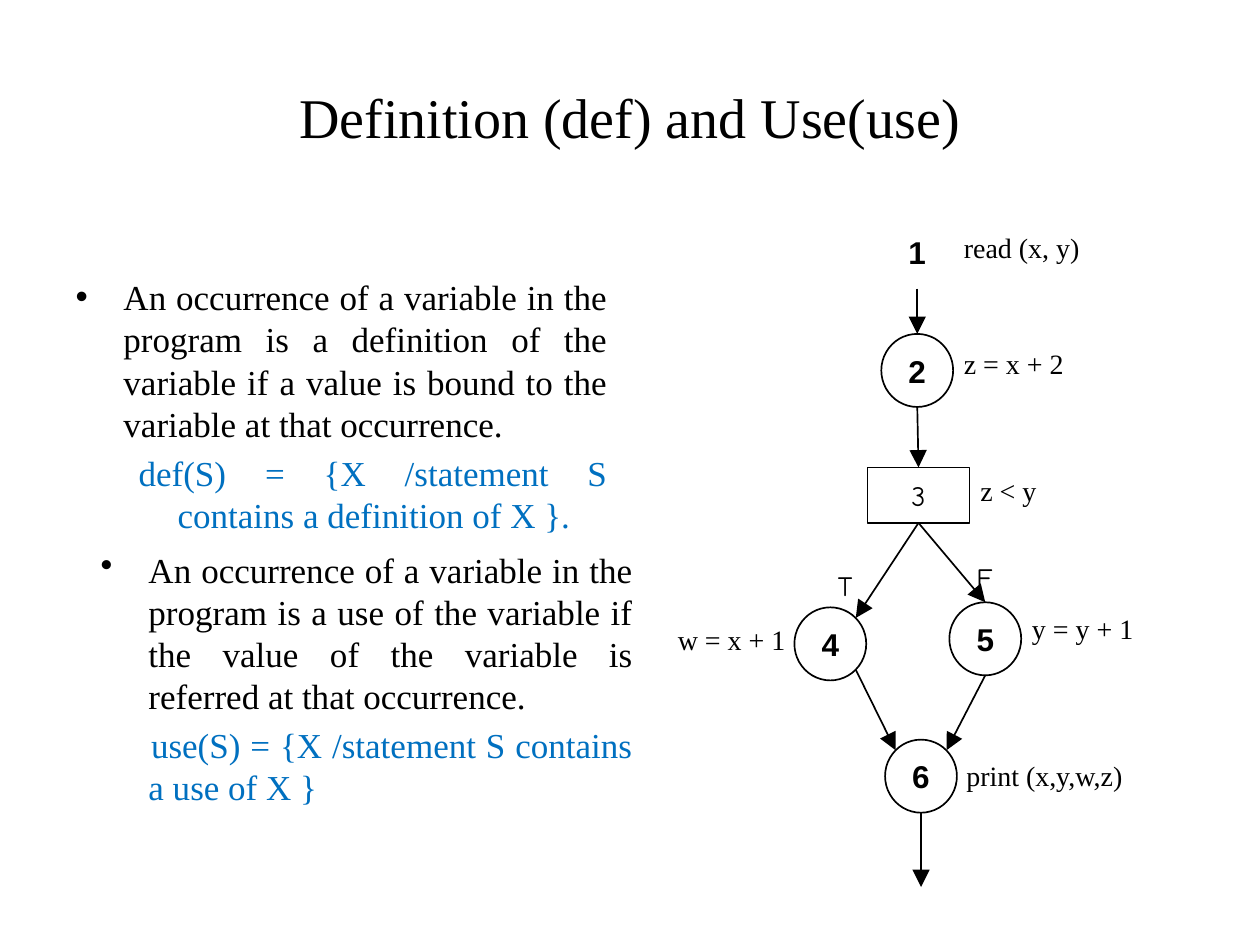
from lxml import etree
from pptx import Presentation
from pptx.dml.color import RGBColor
from pptx.enum.shapes import MSO_CONNECTOR, MSO_SHAPE
from pptx.enum.text import MSO_ANCHOR, PP_ALIGN
from pptx.oxml.ns import qn
from pptx.util import Inches, Pt

STRAIGHT = MSO_CONNECTOR.STRAIGHT
OVAL, RECTANGLE = MSO_SHAPE.OVAL, MSO_SHAPE.RECTANGLE
CENTER, JUSTIFY = PP_ALIGN.CENTER, PP_ALIGN.JUSTIFY
MIDDLE, TOP = MSO_ANCHOR.MIDDLE, MSO_ANCHOR.TOP

COLORS = {"ink": "000000", "formula": "0070C0"}
SERIF, SANS, HAND = "Times New Roman", "Arial", "Comic Neue"
LINE_WIDTH = 0.96
CIRCLE, BOX = (0.57, 0.58), (0.81, 0.44)

TITLE = "Definition (def) and Use(use)"
# text, colour, left margin, first-line indent, bullet
DEFINITION = [
    ("An occurrence of a variable in the program is a definition of the variable "
     "if a value is bound to the variable at that occurrence.", "ink", 0.38, -0.38, "•"),
    ("def(S) = {X /statement S contains a definition of X }.", "formula", 0.81, -0.31, None),
]
USE = [
    ("An occurrence of a variable in the program is a use of the variable "
     "if the value of the variable is referred at that occurrence.", "ink", 0.38, -0.38, "•"),
    ("use(S) = {X /statement S contains a use of X }", "formula", 0.38, 0.02, None),
]

# number: centre x, centre y, outline, size
NODES = {
    "1": (7.28, 2.0, None, CIRCLE),
    "2": (7.28, 2.94, OVAL, CIRCLE),
    "3": (7.29, 3.93, RECTANGLE, BOX),
    "4": (6.59, 5.11, OVAL, CIRCLE),
    "5": (7.82, 5.07, OVAL, CIRCLE),
    "6": (7.31, 6.16, OVAL, CIRCLE),
}
# start node, start side, end node, end side; sides are shares of the half size
EDGES = [
    ("1", (0, 1), "2", (0, -1)),
    ("2", (0, 1), "3", (0, -1)),
    ("3", (0, 1), "4", (0.71, -0.71)),
    ("3", (0, 1), "5", (0, -1)),
    ("4", (0.71, 0.71), "6", (-0.71, -0.71)),
    ("5", (0, 1), "6", (0.71, -0.71)),
]
EXIT_LENGTH = 0.59
# text, font, left, top, width
LABELS = [
    ("read (x, y)", SERIF, 7.65, 1.81, 1.11),
    ("z = x + 2", SERIF, 7.65, 2.73, 0.9),
    ("z < y", SERIF, 7.78, 3.74, 0.48),
    ("w = x + 1", SERIF, 5.38, 4.92, 0.9),
    ("y = y + 1", SERIF, 8.19, 4.83, 0.85),
    ("print (x,y,w,z)", SERIF, 7.67, 6.0, 1.47),
    ("T", HAND, 6.65, 4.49, 0.16),
    ("F", HAND, 7.75, 4.43, 0.16),
]


def color(name):
    return RGBColor.from_string(COLORS[name])


def place(shape, left, top, width, height):
    shape.left, shape.top = Inches(left), Inches(top)
    shape.width, shape.height = Inches(width), Inches(height)


def style(paragraph, font_name, size, color_name="ink", bold=False):
    font = paragraph.font
    font.name, font.size, font.bold = font_name, Pt(size), bold
    font.color.rgb = color(color_name)


def set_bullet(paragraph, margin, indent, bullet):
    properties = paragraph._p.get_or_add_pPr()
    properties.set("marL", str(Inches(margin)))
    properties.set("indent", str(Inches(indent)))
    element = properties.makeelement(qn("a:buChar" if bullet else "a:buNone"))
    if bullet:
        element.set("char", bullet)
    properties.insert_element_before(element, "a:tabLst", "a:defRPr", "a:extLst")


def fill_list(frame, items):
    frame.word_wrap = True
    for index, (text, color_name, margin, indent, bullet) in enumerate(items):
        paragraph = frame.add_paragraph() if index else frame.paragraphs[0]
        paragraph.text = text
        paragraph.alignment = JUSTIFY
        paragraph.space_before = Pt(4)
        style(paragraph, SERIF, 20, color_name)
        set_bullet(paragraph, margin, indent, bullet)


def fill_line(shape, text, font_name, size, bold=False, alignment=None, anchor=TOP, inset=0):
    frame = shape.text_frame
    frame.word_wrap = False
    frame.margin_left = frame.margin_right = frame.margin_bottom = 0
    frame.margin_top = Inches(inset)
    frame.vertical_anchor = anchor
    paragraph = frame.paragraphs[0]
    paragraph.text = text
    paragraph.alignment = alignment
    style(paragraph, font_name, size, bold=bold)


def add_node(shapes, number):
    x, y, outline, (width, height) = NODES[number]
    area = [Inches(v) for v in (x - width / 2, y - height / 2, width, height)]
    if outline is None:
        shape = shapes.add_textbox(*area)
    else:
        shape = shapes.add_shape(outline, *area)
        shape.shadow.inherit = False
        shape.fill.background()
        shape.line.color.rgb = color("ink")
        shape.line.width = Pt(LINE_WIDTH)
    is_box = outline == RECTANGLE
    fill_line(shape, number, HAND if is_box else SANS, 16 if is_box else 18,
              bold=not is_box, alignment=CENTER, anchor=MIDDLE)


def node_point(number, side):
    x, y, _, (width, height) = NODES[number]
    return x + side[0] * width / 2, y + side[1] * height / 2


def add_arrow(shapes, start, end):
    connector = shapes.add_connector(STRAIGHT, *(Inches(v) for v in (*start, *end)))
    connector.line.color.rgb = color("ink")
    connector.line.width = Pt(LINE_WIDTH)
    properties = connector._element.spPr
    line = properties.find(qn("a:ln"))
    etree.SubElement(line, qn("a:tailEnd"), type="triangle", w="lg", len="lg")
    etree.SubElement(properties, qn("a:effectLst"))


def main():
    presentation = Presentation()
    presentation.slide_width, presentation.slide_height = Inches(10), Inches(7.5)
    slide = presentation.slides.add_slide(presentation.slide_layouts[1])
    shapes = slide.shapes

    title, body = shapes.title, slide.placeholders[1]
    place(title, 0.5, 0.3, 9, 1.25)
    title.text_frame.text = TITLE
    title.text_frame.vertical_anchor = MIDDLE
    title.text_frame.paragraphs[0].alignment = CENTER
    style(title.text_frame.paragraphs[0], SERIF, 32)

    place(body, 0.5, 2.14, 4.42, 2.39)
    fill_list(body.text_frame, DEFINITION)
    use_box = shapes.add_textbox(0, 0, 0, 0)
    place(use_box, 0.7, 4.3, 4.42, 2.78)
    fill_list(use_box.text_frame, USE)

    for number in NODES:
        add_node(shapes, number)
    for start, start_side, end, end_side in EDGES:
        add_arrow(shapes, node_point(start, start_side), node_point(end, end_side))
    x, y = node_point("6", (0, 1))
    add_arrow(shapes, (x, y), (x, y + EXIT_LENGTH))

    for text, font_name, left, top, width in LABELS:
        label = shapes.add_textbox(0, 0, 0, 0)
        place(label, left, top, width, 0.28)
        fill_line(label, text, font_name, 16, inset=0.02)

    presentation.save("out.pptx")


if __name__ == "__main__":
    main()
